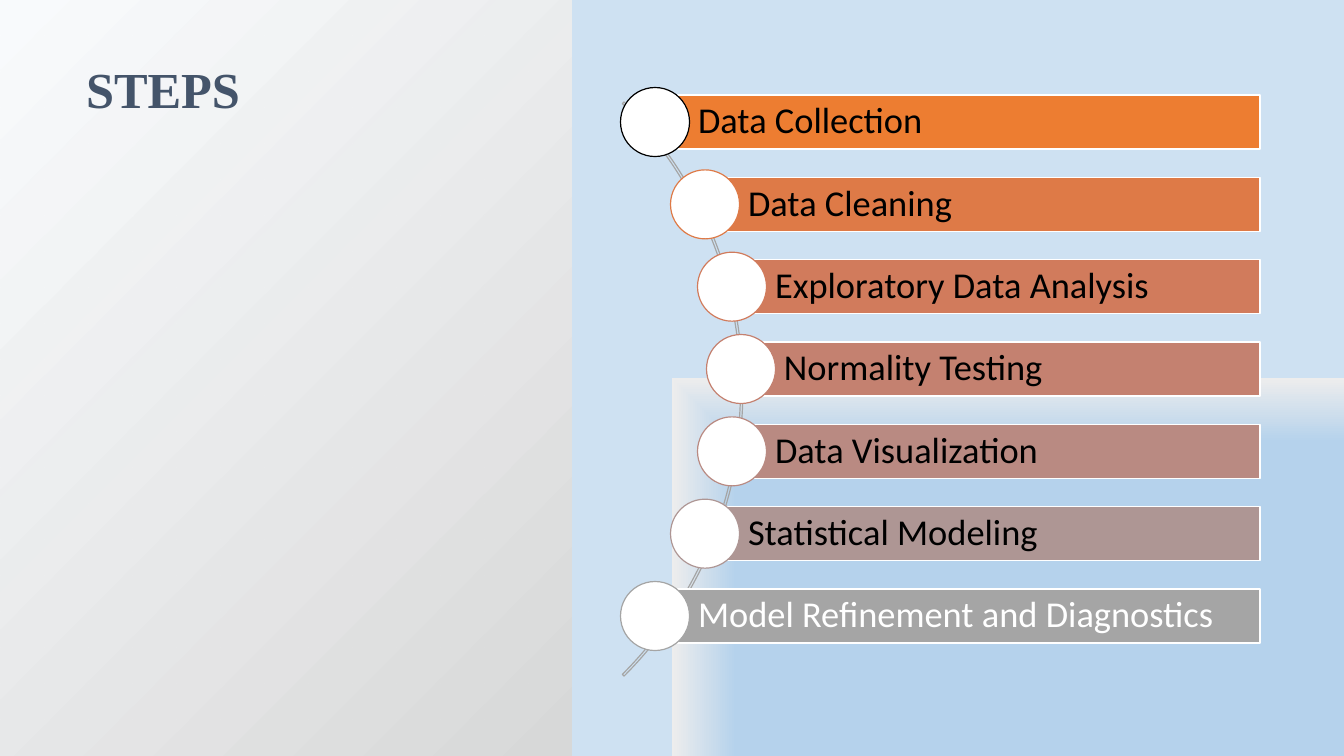
from lxml import etree
from pptx import Presentation
from pptx.dml.color import RGBColor
from pptx.enum.shapes import MSO_SHAPE
from pptx.enum.text import MSO_ANCHOR, MSO_AUTO_SIZE, PP_ALIGN
from pptx.oxml.ns import qn
from pptx.util import Emu, Pt

PX = 914400 / 100.8
WHITE = RGBColor(0xFF, 0xFF, 0xFF)
BLACK = RGBColor(0x00, 0x00, 0x00)
SLATE = RGBColor(0x44, 0x54, 0x6A)
GRAY = RGBColor(0xA5, 0xA5, 0xA5)
SILVER = RGBColor(0xD9, 0xD9, 0xD9)
MIST = RGBColor(0xED, 0xED, 0xED)
SKY = RGBColor(0xB5, 0xD2, 0xEC)
PALE_SKY = RGBColor(0xCE, 0xE1, 0xF2)
ORANGE = RGBColor(0xED, 0x7D, 0x31)
COPPER = RGBColor(0xDE, 0x7A, 0x47)
CLAY = RGBColor(0xD1, 0x7B, 0x5C)
ROSE = RGBColor(0xC4, 0x81, 0x70)
DUSK = RGBColor(0xB9, 0x8A, 0x82)
ASH = RGBColor(0xAE, 0x96, 0x94)

STEPS = [
    ("Data Collection", 0, ORANGE, BLACK, BLACK),
    ("Data Cleaning", 50, COPPER, COPPER, BLACK),
    ("Exploratory Data Analysis", 77, CLAY, CLAY, BLACK),
    ("Normality Testing", 86, ROSE, ROSE, BLACK),
    ("Data Visualization", 77, DUSK, DUSK, BLACK),
    ("Statistical Modeling", 50, ASH, ASH, BLACK),
    ("Model Refinement and Diagnostics", 0, GRAY, GRAY, WHITE),
]


def px(n):
    """Turn pixels into EMU."""
    return Emu(round(n * PX))


def set_gradient(fill, owner, kind, stops):
    """Give a fill a path gradient centred on the bottom right corner."""
    fill.gradient()
    grad = owner.find(".//" + qn("a:gradFill"))
    for child in list(grad):
        grad.remove(child)
    gs_lst = etree.SubElement(grad, qn("a:gsLst"))
    for pos, color, alpha in stops:
        gs = etree.SubElement(gs_lst, qn("a:gs"), pos=str(pos * 1000))
        clr = etree.SubElement(gs, qn("a:srgbClr"), val=str(color))
        if alpha < 100:
            etree.SubElement(clr, qn("a:alpha"), val=str(alpha * 1000))
    path_el = etree.SubElement(grad, qn("a:path"), path=kind)
    etree.SubElement(path_el, qn("a:fillToRect"), l="100000", t="100000")
    etree.SubElement(grad, qn("a:tileRect"), r="-100000", b="-100000")


def add_outlined(s, kind, x, y, w, h, fill, line):
    """Add a preset shape with a flat fill and a thin line."""
    sp = s.shapes.add_shape(kind, px(x), px(y), px(w), px(h))
    sp.shadow.inherit = False
    if fill is None:
        sp.fill.background()
    else:
        sp.fill.solid()
        sp.fill.fore_color.rgb = fill
    sp.line.color.rgb = line
    sp.line.width = Pt(0.85)
    return sp


def add_run(p, text, font, size, color, bold=False):
    """Add one formatted run."""
    r = p.add_run()
    r.text = text
    r.font.name = font
    r.font.size = Pt(size)
    r.font.bold = bold
    r.font.color.rgb = color


def title_panel(s, x, y, w, h):
    """Build the left panel with the slide title."""
    title = s.shapes.title
    panel = s.shapes.add_shape(MSO_SHAPE.RECTANGLE, px(x), px(y), px(w), px(h))
    panel.shadow.inherit = False
    panel.line.fill.background()
    set_gradient(panel.fill, panel.element, "circle",
                 [(0, SILVER, 100), (100, WHITE, 89)])
    title.element.addprevious(panel.element)

    title.left, title.top = px(x + 76), px(y + 76)
    title.width, title.height = px(428), px(50)
    tf = title.text_frame
    tf.word_wrap = True
    tf.auto_size = MSO_AUTO_SIZE.NONE
    tf.vertical_anchor = MSO_ANCHOR.BOTTOM
    p = tf.paragraphs[0]
    p.alignment = PP_ALIGN.LEFT
    p.line_spacing = 0.9
    add_run(p, "STEPS", "Times New Roman", 36, SLATE, True)
    add_run(p, " ", "Calibri", 40, SLATE)


def step_list(s, x, y, w, h):
    """Build the curved list of steps, with bars spread evenly over the box."""
    bar_h, dot = 54, 69
    pitch = (h - bar_h) / (len(STEPS) - 1)
    arc = add_outlined(s, MSO_SHAPE.BLOCK_ARC, x - 724, y - 112, 812, 812, None, GRAY)
    for i, value in enumerate((189, 27, 0.003)):
        arc.adjustments[i] = value

    for i, (text, shift, fill, ring, ink) in enumerate(STEPS):
        left, top = x + shift, y + i * pitch
        bar = add_outlined(s, MSO_SHAPE.RECTANGLE, left, top, w - shift, bar_h, fill, WHITE)
        tf = bar.text_frame
        tf.word_wrap = True
        tf.vertical_anchor = MSO_ANCHOR.MIDDLE
        tf.margin_left = px(43)
        tf.margin_top = tf.margin_right = tf.margin_bottom = px(7)
        p = tf.paragraphs[0]
        p.alignment = PP_ALIGN.LEFT
        p.line_spacing = 0.9
        add_run(p, text, "Calibri", 26, ink)
        add_outlined(s, MSO_SHAPE.OVAL, left - dot / 2, top + (bar_h - dot) / 2,
                     dot, dot, WHITE, ring)


def main():
    """Build and save the slide."""
    prs = Presentation()
    prs.slide_width, prs.slide_height = px(1344), px(756)
    s = prs.slides.add_slide(prs.slide_layouts[5])
    set_gradient(s.background.fill, s.element, "rect",
                 [(74, SKY, 100), (83, SKY, 100), (100, MIST, 100), (100, PALE_SKY, 100)])
    title_panel(s, 0, 0, 572, 756)
    step_list(s, 655, 95, 605, 548)
    prs.save("out.pptx")


if __name__ == "__main__":
    main()
